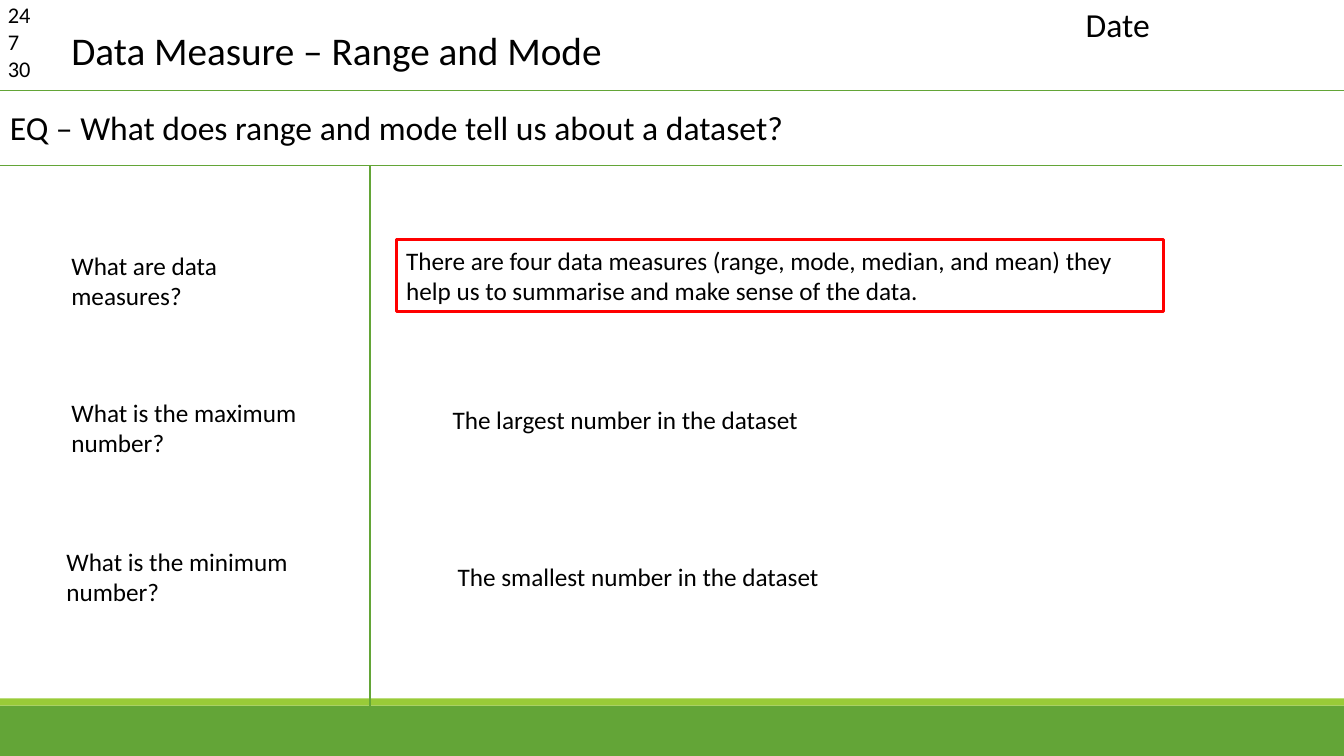
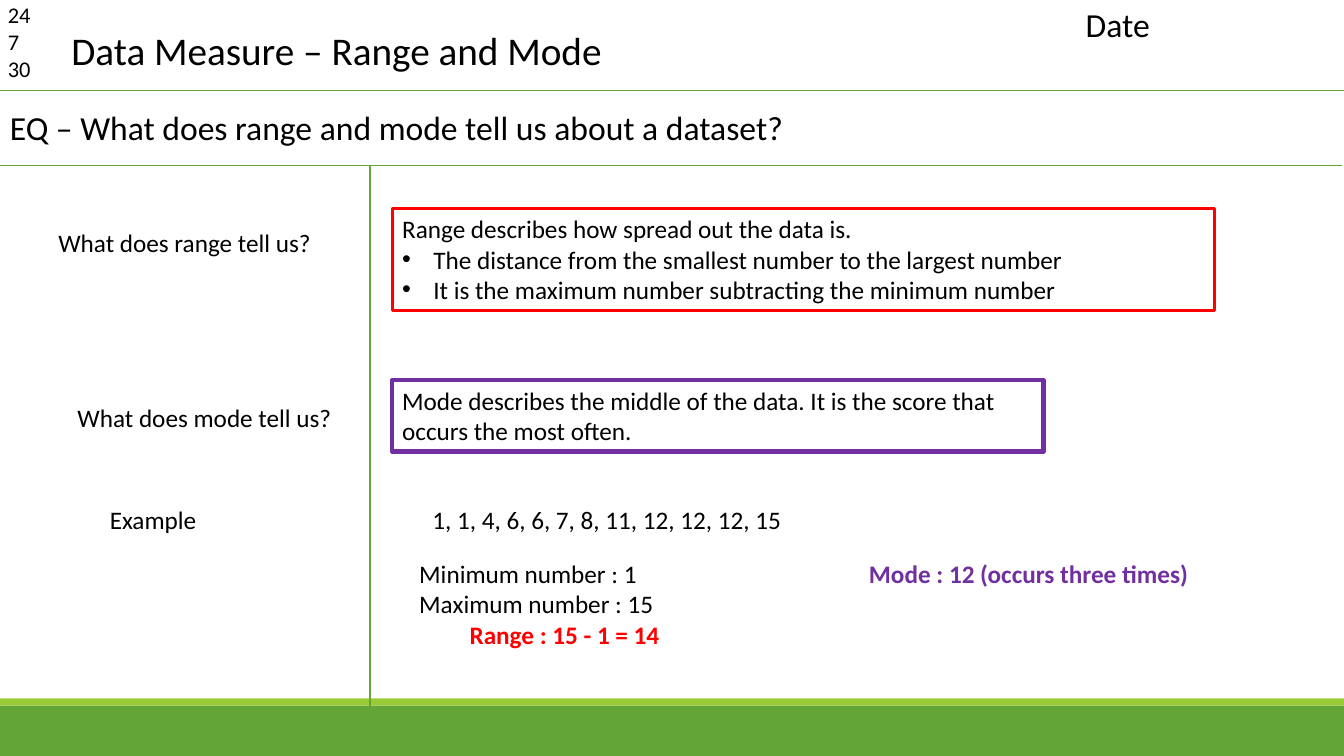
from lxml import etree
from pptx import Presentation
from pptx.dml.color import RGBColor
from pptx.enum.shapes import MSO_CONNECTOR, MSO_SHAPE
from pptx.enum.text import MSO_AUTO_SIZE
from pptx.oxml.ns import qn
from pptx.util import Inches, Pt

WIDTH, HEIGHT = 13.33, 7.5
GREEN, LIME = "63A537", "99CB38"
BLACK, RED, PURPLE = "000000", "FF0000", "7030A0"


def rgb(value):
    return RGBColor.from_string(value)


class Deck:
    """Holds the lesson style and the slide being built."""

    font = "Calibri"

    def __init__(self):
        self.prs = Presentation()
        self.prs.slide_width = Inches(WIDTH)
        self.prs.slide_height = Inches(HEIGHT)

    def slide(self):
        self.s = self.prs.slides.add_slide(self.prs.slide_layouts[6])
        self.band(7, 0.5, GREEN)
        self.band(6.93, 0.07, LIME)
        self.line(0, 0.9, WIDTH, 0.9)
        self.line(0, 1.64, 13.31, 1.64)
        self.line(3.67, 1.64, 3.67, HEIGHT)
        self.text(-0.02, -0.04, 0.63, 0.91, ["24", "7", "30"], size=16)
        self.text(0.61, 0.21, 5.52, 0.57, ["Data Measure – Range and Mode"], size=28, wrap=False)
        self.text(10.67, -0.01, 1.73, 0.5, ["Date"], size=24)
        self.text(0, 1.01, 9.43, 0.5,
                  ["EQ – What does range and mode tell us about a dataset?"], size=24)

    def band(self, y, h, color):
        sp = self.s.shapes.add_shape(MSO_SHAPE.RECTANGLE, 0, Inches(y), Inches(WIDTH), Inches(h))
        sp.shadow.inherit = False
        sp.fill.solid()
        sp.fill.fore_color.rgb = rgb(color)
        sp.line.fill.background()

    def line(self, x1, y1, x2, y2):
        cn = self.s.shapes.add_connector(
            MSO_CONNECTOR.STRAIGHT, Inches(x1), Inches(y1), Inches(x2), Inches(y2))
        cn.line.color.rgb = rgb(GREEN)
        cn.line.width = Pt(1)
        etree.SubElement(cn._element.spPr, qn("a:effectLst"))

    def text(self, x, y, w, h, lines, size=18, color=BLACK, bold=False, wrap=True):
        sp = self.s.shapes.add_textbox(Inches(x), Inches(y), Inches(w), Inches(h))
        tf = sp.text_frame
        tf.word_wrap = wrap
        tf.auto_size = MSO_AUTO_SIZE.SHAPE_TO_FIT_TEXT
        tf.text = "\n".join(lines)
        for p in tf.paragraphs:
            for r in p.runs:
                r.font.name = self.font
                r.font.size = Pt(size)
                self.emphasis(p, color, bold)
        return sp

    def emphasis(self, p, color, bold=True):
        for r in p.runs:
            r.font.color.rgb = rgb(color)
            r.font.bold = bold

    def boxed(self, x, y, w, h, lines, color, weight):
        sp = self.text(x, y, w, h, lines)
        sp.line.color.rgb = rgb(color)
        sp.line.width = Pt(weight)
        for p in sp.text_frame.paragraphs[1:]:
            self.indent(p, 0.31, -0.31)
            pPr = p._p.get_or_add_pPr()
            etree.SubElement(pPr, qn("a:buFont"), typeface="Arial")
            etree.SubElement(pPr, qn("a:buChar"), char="•")

    def indent(self, p, left, first=0):
        pPr = p._p.get_or_add_pPr()
        pPr.set("marL", str(Inches(left)))
        pPr.set("indent", str(Inches(first)))


def measures_slide(deck):
    deck.slide()
    deck.text(0.61, 2.43, 2.3, 0.71, ["What are data measures?"])
    deck.boxed(3.93, 2.38, 7.61, 0.71,
               ["There are four data measures (range, mode, median, and mean) they "
                "help us to summarise and make sense of the data."], RED, 2.25)
    deck.text(0.61, 3.89, 2.81, 0.71, ["What is the maximum number?"])
    deck.text(4.39, 3.96, 4.5, 0.4, ["The largest number in the dataset"])
    deck.text(0.56, 5.37, 2.81, 0.71, ["What is the minimum number?"])
    deck.text(4.44, 5.52, 4.5, 0.4, ["The smallest number in the dataset"])


def range_mode_slide(deck):
    deck.slide()
    deck.text(0.48, 2.21, 2.81, 0.4, ["What does range tell us?"])
    deck.boxed(3.89, 2.07, 8.16, 1.01,
               ["Range describes how spread out the data is.",
                "The distance from the smallest number to the largest number",
                "It is the maximum number subtracting the minimum number"], RED, 2.25)
    deck.text(0.67, 3.94, 2.85, 0.4, ["What does mode tell us?"])
    deck.boxed(3.89, 3.77, 6.46, 0.71,
               ["Mode describes the middle of the data. It is the score that "
                "occurs the most often."], PURPLE, 3)
    deck.text(0.99, 4.95, 2.19, 0.4, ["Example"])
    deck.text(4.19, 4.95, 6.52, 0.4, ["1, 1, 4, 6, 6, 7, 8, 11, 12, 12, 12, 15"])
    working = deck.text(4.06, 5.49, 2.87, 1.01,
                        ["Minimum number : 1", "Maximum number : 15", "Range : 15 - 1 = 14"])
    answer = working.text_frame.paragraphs[-1]
    deck.indent(answer, 0.5)
    deck.emphasis(answer, RED)
    deck.text(8.52, 5.49, 3.52, 0.4, ["Mode : 12 (occurs three times)"], color=PURPLE, bold=True)


def main():
    deck = Deck()
    measures_slide(deck)
    range_mode_slide(deck)
    deck.prs.save("out.pptx")


if __name__ == "__main__":
    main()
